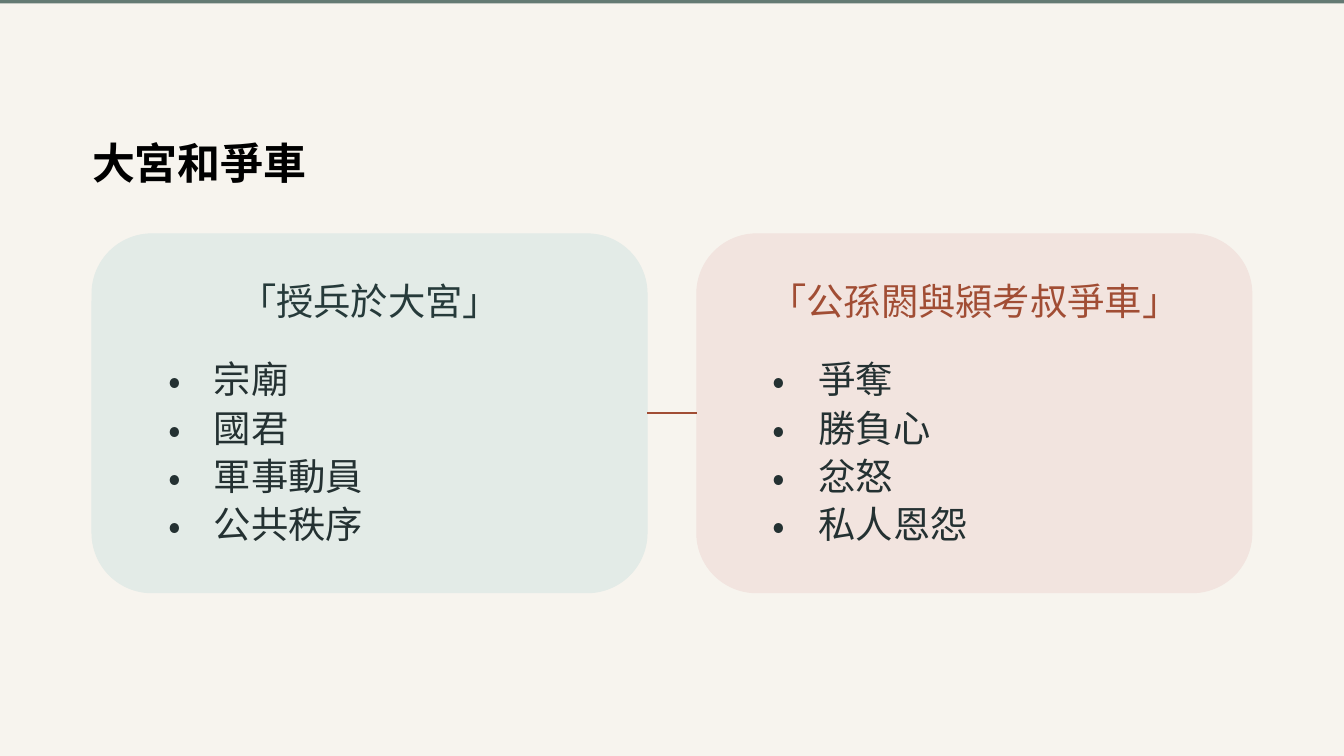
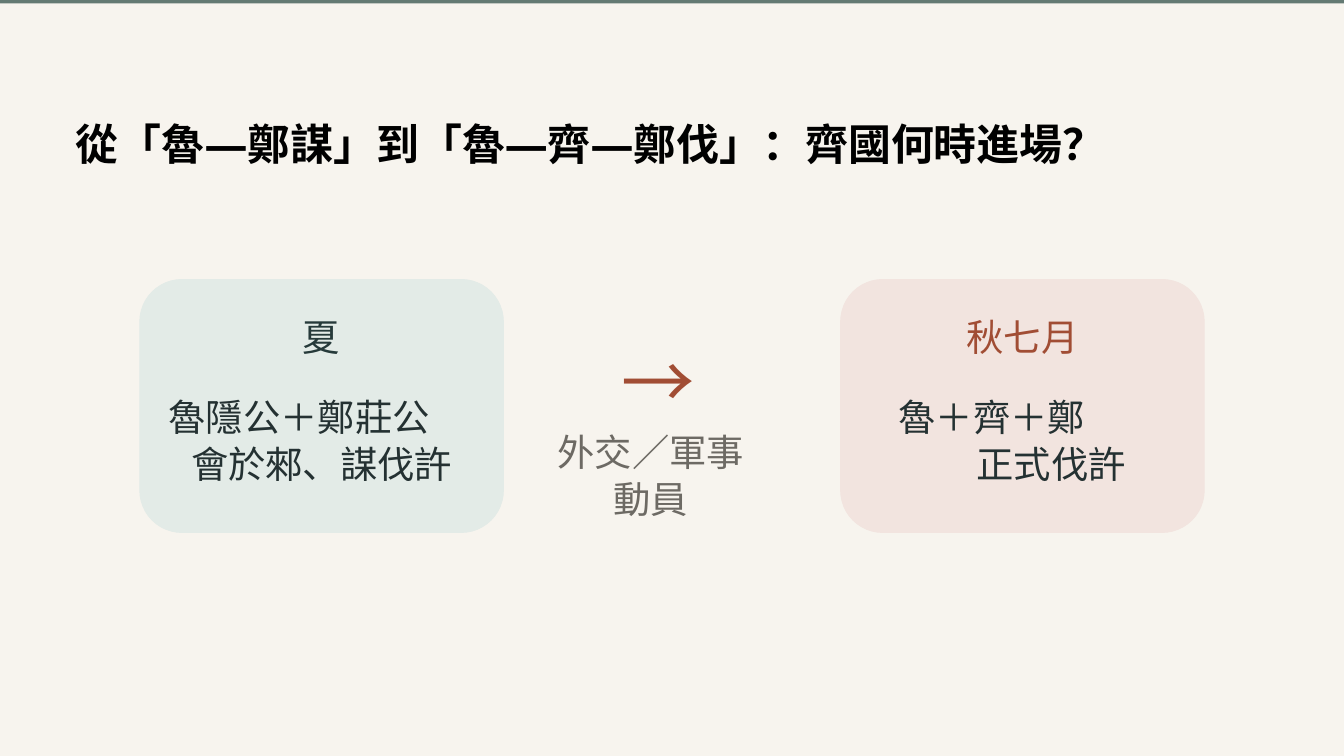
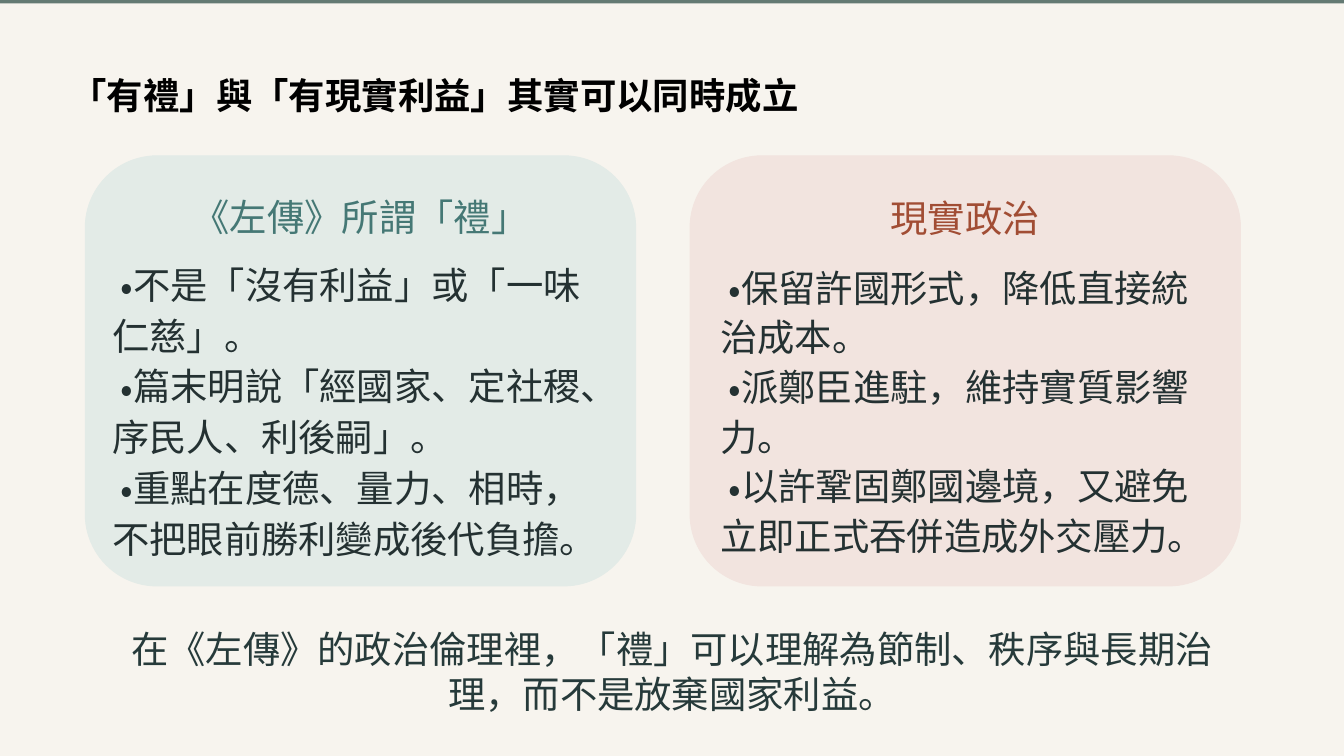
from dataclasses import dataclass

from lxml.etree import SubElement
from pptx import Presentation
from pptx.dml.color import RGBColor
from pptx.enum.shapes import MSO_CONNECTOR, MSO_SHAPE
from pptx.enum.text import MSO_ANCHOR, MSO_AUTO_SIZE, PP_ALIGN
from pptx.oxml.ns import qn
from pptx.util import Pt


@dataclass(frozen=True)
class Theme:
    paper: str = "F7F4EE"
    band: str = "647A73"
    mint: str = "E3EBE7"
    blush: str = "F2E4DF"
    black: str = "000000"
    pine: str = "263A3A"
    ink: str = "243132"
    teal: str = "457875"
    rust: str = "A14D34"
    grey: str = "6D6A64"
    title_font: str = "Noto Sans"
    body_font: str = "Noto Sans CJK JP"
    text_size: float = 40
    arrow_size: float = 78.7


theme = Theme()
color = RGBColor.from_string
LEFT, CENTER = PP_ALIGN.LEFT, PP_ALIGN.CENTER


def write(frame, lines, ink, font, size, bold=False, bullet=None):
    """Fill a frame with (text, alignment, line spacing); bullet is (margin, indent)."""
    frame.word_wrap = True
    frame.auto_size = MSO_AUTO_SIZE.SHAPE_TO_FIT_TEXT
    frame.vertical_anchor = MSO_ANCHOR.TOP
    frame.margin_left = frame.margin_top = frame.margin_right = frame.margin_bottom = 0
    for index, (text, alignment, spacing) in enumerate(lines):
        para = frame.paragraphs[0] if index == 0 else frame.add_paragraph()
        para.text = text
        para.alignment = alignment
        para.line_spacing = Pt(spacing)
        properties = para._p.get_or_add_pPr()
        if bullet:
            properties.set("marL", str(Pt(bullet[0])))
            properties.set("indent", str(Pt(bullet[1])))
            SubElement(SubElement(properties, qn("a:buClr")), qn("a:srgbClr"), val=ink)
            SubElement(properties, qn("a:buFont"), typeface=font)
            SubElement(properties, qn("a:buChar"), char="•")
        para.font.size = Pt(size)
        para.font.bold = bold
        para.font.color.rgb = color(ink)
        para.font.name = font
        SubElement(properties.find(qn("a:defRPr")), qn("a:ea"), typeface=font)


def add_text(page, place, lines, ink, size=theme.text_size, bullet=None):
    box = page.shapes.add_textbox(*map(Pt, place))
    write(box.text_frame, lines, ink, theme.body_font, size, bullet=bullet)


# Deck and shared background
deck = Presentation()
deck.slide_width, deck.slide_height = Pt(1440), Pt(810)
background = deck.slide_master.background.fill
background.solid()
background.fore_color.rgb = color(theme.paper)

# Content: title (text, left, top, height, size, spacing), first card, pitch, and
# per card: heading (text, top, width, ink) and body (place, lines)
hanging, flush = (49, -49), (0, 9)
contents = [
    dict(
        title=("大宮和爭車", 98.6, 143.3, 56, 46, 58),
        card=(98.6, 250.6, 594.7, 384.5), pitch=648, spacing=50.4, bullet=hanging,
        headings=[("「授兵於大宮」", 295.9, 522, theme.pine),
                  ("「公孫閼與潁考叔爭車」", 295.9, 527, theme.rust)],
        bodies=[
            ((180, 378, 414, 206),
             [(text, LEFT, 51.8) for text in ("宗廟", "國君", "軍事動員", "公共秩序")]),
            ((828, 378, 414, 206),
             [(text, LEFT, 51.8) for text in ("爭奪", "勝負心", "忿怒", "私人恩怨")]),
        ],
    ),
    dict(
        title=("從「魯—鄭謀」到「魯—齊—鄭伐」：齊國何時進場？", 81.4, 123.1, 56, 46, 58),
        card=(149.8, 299.5, 389.5, 271), pitch=750.9, spacing=50.4, bullet=None,
        headings=[("夏", 334, 40.4, theme.pine), ("秋七月", 334, 120.4, theme.rust)],
        bodies=[
            ((180.7, 422.6, 327.6, 96.5),
             [("魯隱公＋鄭莊公", LEFT, 48), ("會於郲、謀伐許", CENTER, 50.4)]),
            ((962.6, 422.6, 327.6, 96.5),
             [("魯＋齊＋鄭", LEFT, 48), ("正式伐許", CENTER, 50.4)]),
        ],
    ),
    dict(
        title=("「有禮」與「有現實利益」其實可以同時成立", 75.6, 77.8, 46.8, 39, 46.8),
        card=(91.4, 167, 589.7, 460.8), pitch=648, spacing=48, bullet=flush,
        headings=[("《左傳》所謂「禮」", 208, 361, theme.teal),
                  ("現實政治", 209.5, 160.5, theme.rust)],
        bodies=[
            ((120.2, 274.3, 532, 322.6),
             [(text, LEFT, 54.4) for text in (
                 "不是「沒有利益」或「一味仁慈」。",
                 "篇末明說「經國家、定社稷、序民人、利後嗣」。",
                 "重點在度德、量力、相時，不把眼前勝利變成後代負擔。")]),
            ((771.8, 278.6, 523.4, 314.6),
             [(text, LEFT, 53.2) for text in (
                 "保留許國形式，降低直接統治成本。",
                 "派鄭臣進駐，維持實質影響力。",
                 "以許鞏固鄭國邊境，又避免立即正式吞併造成外交壓力。")]),
        ],
    ),
]

pages, card_pairs = [], []
for content in contents:
    page = deck.slides.add_slide(deck.slide_layouts[5])
    pages.append(page)

    # Title
    text, left, top, height, size, spacing = content["title"]
    title = page.shapes.title
    title.left, title.top, title.width, title.height = map(Pt, (left, top, 1288.8, height))
    write(title.text_frame, [(text, LEFT, spacing)], theme.black, theme.title_font, size, bold=True)

    # Top band
    band = page.shapes.add_shape(MSO_SHAPE.RECTANGLE, 0, 0, deck.slide_width, Pt(3.6))
    band.shadow.inherit = False
    band.fill.solid()
    band.fill.fore_color.rgb = color(theme.band)
    band.line.fill.background()

    # Two cards, each with a centred heading and a body
    first_left, top, width, height = content["card"]
    cards = []
    for index, fill in enumerate((theme.mint, theme.blush)):
        left = first_left + index * content["pitch"]
        card = page.shapes.add_shape(
            MSO_SHAPE.ROUNDED_RECTANGLE, Pt(left), Pt(top), Pt(width), Pt(height))
        card.shadow.inherit = False
        card.fill.solid()
        card.fill.fore_color.rgb = card.line.color.rgb = color(fill)
        card.line.width = Pt(1.05)
        cards.append(card)

        heading, heading_top, heading_width, ink = content["headings"][index]
        heading_left = left + (width - heading_width) / 2
        add_text(page, (heading_left, heading_top, heading_width, content["spacing"]),
                 [(heading, CENTER, content["spacing"])], ink)
        place, lines = content["bodies"][index]
        add_text(page, place, lines, theme.ink, bullet=content["bullet"])
    card_pairs.append(cards)

palace_page, alliance_page, rite_page = pages

# Link between the palace and chariot cards
palace_card, chariot_card = card_pairs[0]
link = palace_page.shapes.add_connector(MSO_CONNECTOR.STRAIGHT, 0, 0, 0, 0)
link.begin_connect(palace_card, 3)
link.end_connect(chariot_card, 1)
link.line.color.rgb = color(theme.rust)
link.line.width = Pt(2.25)
SubElement(link._element.spPr, qn("a:effectLst"))

# Arrow and its label between summer and autumn
add_text(alliance_page, (589.7, 355.7, 230.4, 98.6), [("→", CENTER, 99.2)],
         theme.rust, theme.arrow_size)
add_text(alliance_page, (587.5, 457.2, 219.6, 100), [("外交／軍事動員", CENTER, 50.4)], theme.grey)

# Closing statement
add_text(rite_page, (129.6, 671, 1180.8, 94.3),
         [("在《左傳》的政治倫理裡，「禮」可以理解為節制、秩序與長期治理，而不是放棄國家利益。",
           CENTER, 48)], theme.pine)

deck.save("out.pptx")
